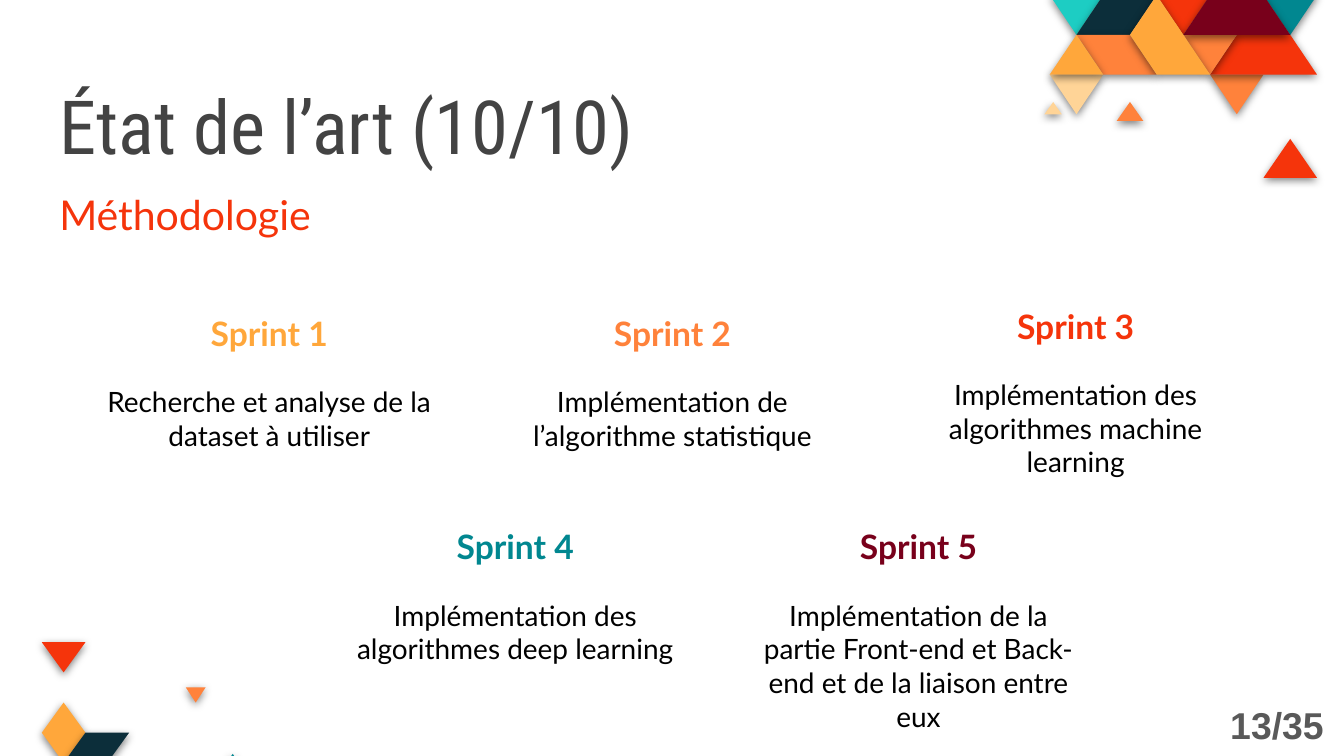
from lxml.etree import SubElement
from pptx import Presentation
from pptx.dml.color import RGBColor
from pptx.enum.text import MSO_ANCHOR as Anchor, MSO_AUTO_SIZE as AutoSize, PP_ALIGN as Align
from pptx.oxml.ns import qn
from pptx.util import Cm, Pt

TURQUOISE, NAVY, TEAL, RED = "1DCDC3", "0C2E3A", "018790", "F5340B"
ORANGE, AMBER, CREAM, WINE = "FF823B", "FFA73B", "FFD497", "78001B"

TOP_MOSAIC = [
    (TURQUOISE, [(0, 1), (1, 2), (2, 1)]),
    (NAVY, [(1, 2), (3, 2), (4, 1), (2, 1)]),
    (TEAL, [(8, 1), (9, 2), (10, 1), (9, 0)]),
    (RED, [(3, 0), (5, 2), (6, 1), (5, 0)]),
    (CREAM, [(0, 3), (1, 4), (2, 3)]),
    (ORANGE, [(2.5, 4.17), (3.5, 4.17), (3, 3.69)]),
    (CREAM, [(-0.2, 4), (0.45, 4), (0.13, 3.69)]),
    (ORANGE, [(1, 2), (2, 3), (4, 3), (3, 2)]),
    (AMBER, [(0, 3), (2, 3), (1, 2)]),
    (ORANGE, [(6, 3), (7, 4), (8, 3)]),
    (RED, [(8, 5.6), (10, 5.6), (9, 4.62)]),
    (RED, [(6, 3), (10, 3), (9, 2), (7, 2)]),
    (ORANGE, [(5, 2), (6, 3), (7, 2)]),
    (WINE, [(5, 2), (9, 2), (8, 1), (6, 1)]),
    (AMBER, [(3, 2), (4, 3), (6, 3), (4, 1)]),
]
BOTTOM_MOSAIC = [
    (TEAL, [(9, 4), (8.75, 3.7), (8.45, 4)]),
    (AMBER, [(2, 3), (1, 2), (0, 3), (1, 4)]),
    (NAVY, [(4, 3), (2, 3), (1, 4), (3, 4)]),
    (ORANGE, [(7.5, 1.5), (6.6, 1.5), (7.05, 2)]),
    (RED, [(2, 0), (0, 0), (1, 1)]),
]
UPPER_SPRINTS = [
    ("Sprint 1", AMBER, "Recherche et analyse de la dataset à utiliser", 5.66),
    ("Sprint 2", ORANGE, "Implémentation de l’algorithme statistique", 5.66),
    ("Sprint 3", RED, "Implémentation des algorithmes machine learning", 5.53),
]
LOWER_SPRINTS = [
    ("Sprint 4", TEAL, "Implémentation des algorithmes deep learning", 9.7),
    ("Sprint 5", WINE, "Implémentation de la partie Front-end et Back-end et de la liaison entre eux", 9.7),
]


def color(hex_code):
    """Turn a hex string into a colour."""
    return RGBColor.from_string(hex_code)


def write(paragraph, wording, font_name, size, hex_code, bold=False, align=Align.LEFT):
    """Add one formatted run to a paragraph."""
    paragraph.alignment = align
    run = paragraph.add_run()
    run.text = wording
    run.font.name, run.font.size, run.font.bold = font_name, Pt(size), bold
    run.font.color.rgb = color(hex_code)


def prepare(frame, anchor=Anchor.TOP):
    """Give a text frame its wrapping, anchor and margins."""
    frame.word_wrap, frame.auto_size, frame.vertical_anchor = True, AutoSize.NONE, anchor
    frame.margin_left = frame.margin_right = Cm(0.25)
    frame.margin_top = frame.margin_bottom = Cm(0.25)


def place(holder, box):
    """Move a placeholder into a box in centimetres and return its first paragraph."""
    holder.left, holder.top, holder.width, holder.height = map(Cm, box)
    prepare(holder.text_frame)
    return holder.text_frame.paragraphs[0]


def add_heading(slide, title_box, body_box):
    """Fill the title and the section name."""
    title = place(slide.shapes.title, title_box)
    title.line_spacing = 1.0
    write(title, "État de l’art (10/10)", "Roboto Condensed", 40, "434343")
    section = place(slide.placeholders[1], body_box)
    section.line_spacing, section.space_before = 1.15, Pt(0)
    properties = section._p.get_or_add_pPr()
    properties.set("marL", "0")
    properties.set("indent", "0")
    SubElement(properties, qn("a:buNone"))
    write(section, "Méthodologie", "Lato", 22, RED)


def add_shadow(shape):
    """Cast a soft shadow straight down."""
    shape.shadow.inherit = False
    effects = shape._element.spPr.find(qn("a:effectLst"))
    outer = SubElement(effects, qn("a:outerShdw"), blurRad=str(Pt(4.5)), dist=str(Pt(1.5)),
                       dir="5400000", algn="bl", rotWithShape="0")
    black = SubElement(outer, qn("a:srgbClr"), val="000000")
    SubElement(black, qn("a:alpha"), val="50000")


def add_mosaic(slide, box, columns, rows, tiles):
    """Draw tiles whose corners lie on a grid that divides the box."""
    left, top, width, height = box
    for hex_code, corners in tiles:
        start, *others = [(Cm(left + width * column / columns), Cm(top + height * row / rows))
                          for column, row in corners]
        outline = slide.shapes.build_freeform(*start)
        outline.add_line_segments(others, close=True)
        tile = outline.convert_to_shape()
        tile.fill.solid()
        tile.fill.fore_color.rgb = color(hex_code)
        tile.line.fill.background()
        add_shadow(tile)


def add_sprints(slide, left, sprints):
    """Lay out one row of sprints at an equal pitch."""
    pitch, width, height = 7.62, 6.68, 3.5
    for index, (name, hex_code, task, top) in enumerate(sprints):
        sprint = slide.shapes.add_textbox(Cm(left + index * pitch), Cm(top), Cm(width), Cm(height))
        prepare(sprint.text_frame)
        write(sprint.text_frame.paragraphs[0], name, "Lato", 18, hex_code, True, Align.CENTER)
        description = sprint.text_frame.add_paragraph()
        description.space_before = Pt(17)
        write(description, task, "Lato", 15, "000000", align=Align.CENTER)


def add_page_number(slide, box):
    """Write the page count in its corner box."""
    page = slide.shapes.add_textbox(*map(Cm, box)).text_frame
    prepare(page, Anchor.MIDDLE)
    write(page.paragraphs[0], "13/35", "Arial", 20, "595959", True, Align.RIGHT)


def main():
    """Build and save the slide."""
    deck = Presentation()
    deck.slide_width, deck.slide_height = Cm(25.4), Cm(14.29)
    slide = deck.slides.add_slide(deck.slide_layouts[1])
    add_heading(slide, (0.87, 1.25, 23.67, 1.6), (0.87, 3.2, 23.67, 9.5))
    add_mosaic(slide, (19.84, -0.84, 5.05, 3), 10, 4, TOP_MOSAIC)
    add_mosaic(slide, (0.79, 12.14, 1.65, 2.28), 4, 4, BOTTOM_MOSAIC)
    add_sprints(slide, 1.75, UPPER_SPRINTS)
    add_sprints(slide, 6.4, LOWER_SPRINTS)
    add_page_number(slide, (22.73, 13.16, 2.54, 1.09))
    deck.save("out.pptx")


if __name__ == "__main__":
    main()
